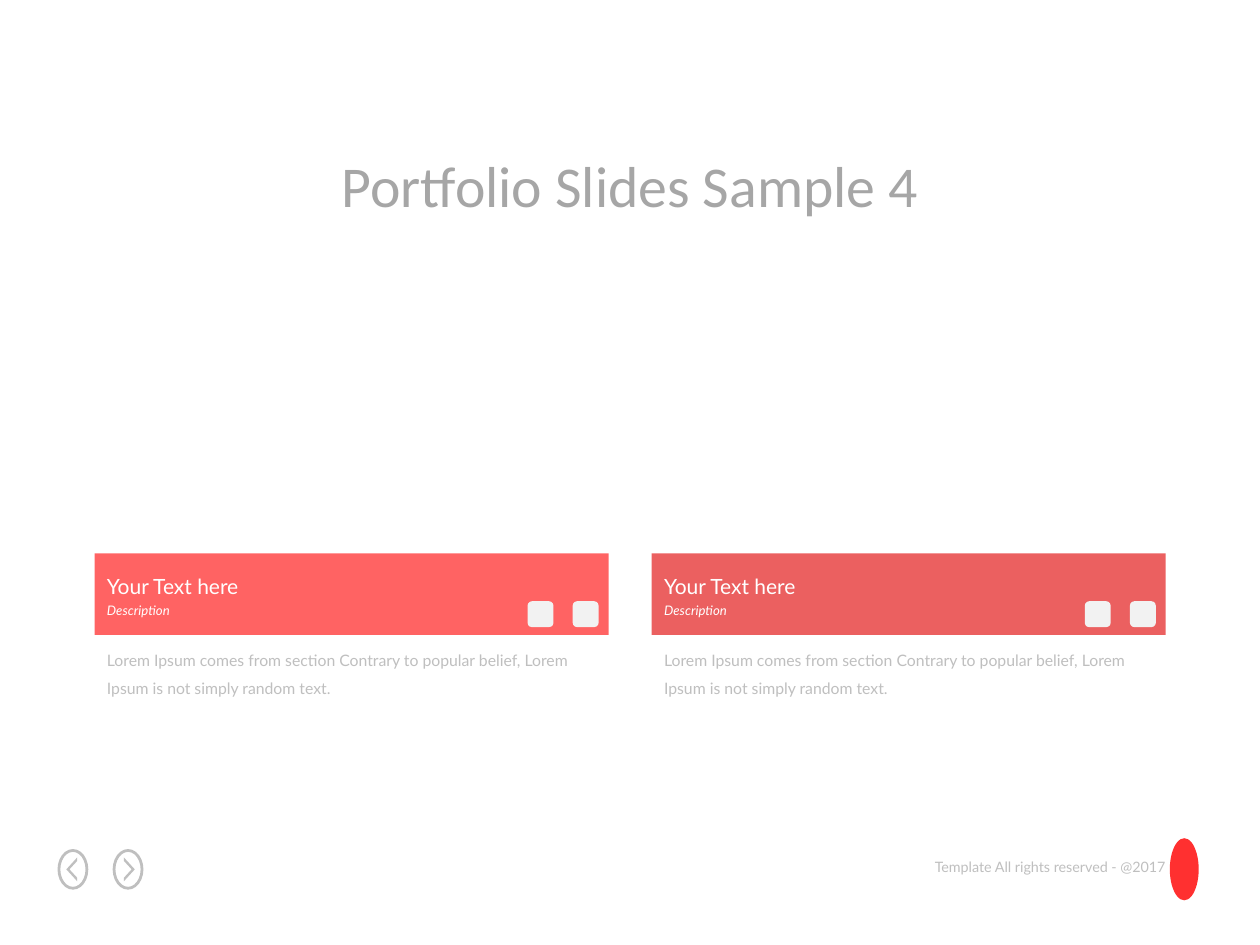
from lxml import etree
from pptx import Presentation
from pptx.dml.color import RGBColor
from pptx.enum.shapes import MSO_SHAPE
from pptx.enum.text import MSO_ANCHOR, MSO_AUTO_SIZE, PP_ALIGN
from pptx.oxml.ns import qn
from pptx.util import Pt

RECTANGLE = MSO_SHAPE.RECTANGLE
ROUNDED = MSO_SHAPE.ROUNDED_RECTANGLE
OVAL = MSO_SHAPE.OVAL
LEFT, CENTER, RIGHT = PP_ALIGN.LEFT, PP_ALIGN.CENTER, PP_ALIGN.RIGHT
MIDDLE = MSO_ANCHOR.MIDDLE
GROW = MSO_AUTO_SIZE.SHAPE_TO_FIT_TEXT

GREY = "BFBFBF"
RED = "FF3030"
BODY = ("Lorem Ipsum comes from section Contrary to popular belief, "
        "Lorem Ipsum is not simply random text.")
CARD_WIDTH = 293.76
CHEVRON = [(2.4, -6.8), (-3.8, 0), (2.4, 6.8), (2.4, 4.8), (-2, 0), (2.4, -4.8)]


def color(value):
    """Return the colour for a hex string."""
    return RGBColor.from_string(value)


def style_text(box, text, size, tint, font="Lato", align=LEFT, wrap=False):
    """Write one paragraph into a box and return it."""
    frame = box.text_frame
    frame.text = text
    frame.word_wrap = wrap
    frame.auto_size = GROW
    para = frame.paragraphs[0]
    para.alignment = align
    para.font.name = font
    para.font.size = Pt(size)
    para.font.color.rgb = color(tint)
    return para


def add_text(page, left, top, width, height, *content, **style):
    """Add a text box and return its paragraph."""
    box = page.shapes.add_textbox(Pt(left), Pt(top), Pt(width), Pt(height))
    return style_text(box, *content, **style)


def fill_plain(shape, fill):
    """Give a shape a flat fill without line or shadow."""
    shape.shadow.inherit = False
    shape.fill.solid()
    shape.fill.fore_color.rgb = color(fill)
    shape.line.fill.background()


def add_shape(page, kind, left, top, width, height, fill, opacity=100):
    """Add a flat preset shape, translucent when asked."""
    shape = page.shapes.add_shape(kind, Pt(left), Pt(top), Pt(width), Pt(height))
    fill_plain(shape, fill)
    if opacity < 100:
        tint = shape._element.spPr.find(f".//{qn('a:srgbClr')}")
        etree.SubElement(tint, qn("a:alpha")).set("val", str(opacity * 1000))
    return shape


def add_title(page, text):
    """Place and format the title placeholder."""
    title = page.shapes.title
    title.left, title.top, title.width, title.height = (
        Pt(173.5), Pt(81.4), Pt(373), Pt(47.5))
    title.text_frame.vertical_anchor = MIDDLE
    style_text(title, text, 33, "A6A6A6", font="Calibri", align=CENTER)


def add_arrow_button(page, center, direction):
    """Add a ringed chevron; direction 1 points left and -1 right."""
    middle = 496.8
    ring = add_shape(page, OVAL, center - 8, middle - 10.8, 16, 21.6, GREY)
    ring.fill.background()
    ring.line.color.rgb = color(GREY)
    ring.line.width = Pt(1.6)
    points = [(Pt(center + direction * x), Pt(middle + y)) for x, y in CHEVRON]
    builder = page.shapes.build_freeform(*points[0])
    builder.add_line_segments(points[1:], close=True)
    fill_plain(builder.convert_to_shape(), GREY)


def add_card(page, left, fill):
    """Add a portfolio card with heading band, body and icon tiles."""
    add_shape(page, RECTANGLE, left, 316.2, CARD_WIDTH, 46.6, fill, opacity=75)
    add_text(page, left, 362.8, CARD_WIDTH, 40.3, BODY, 9, GREY,
             wrap=True).line_spacing = 1.5
    add_text(page, left, 324, 94.3, 21.6, "Your Text here", 12, "FFFFFF")
    add_text(page, left, 340.4, 51, 16.6, "Description", 7.5,
             "FFFFFF").font.italic = True
    for offset in (247.5, 273.3):
        add_shape(page, ROUNDED, left + offset, 343.6, 14.8, 14.8, "F2F2F2")


def main():
    """Build the portfolio slide."""
    deck = Presentation()
    deck.slide_width, deck.slide_height = Pt(720), Pt(540)
    page = deck.slides.add_slide(deck.slide_layouts[5])
    add_title(page, "Portfolio Slides Sample 4")
    add_text(page, 522, 486.7, 151.2, 17.3,
             "Template All rights reserved - @2017", 8.2, GREY, align=RIGHT)
    add_arrow_button(page, 41.7, 1)
    add_arrow_button(page, 73.2, -1)
    add_shape(page, OVAL, 668.5, 479, 16.5, 35.5, RED)
    add_card(page, 54, RED)
    add_card(page, 372.4, "E52B2B")
    deck.save("out.pptx")


if __name__ == "__main__":
    main()
